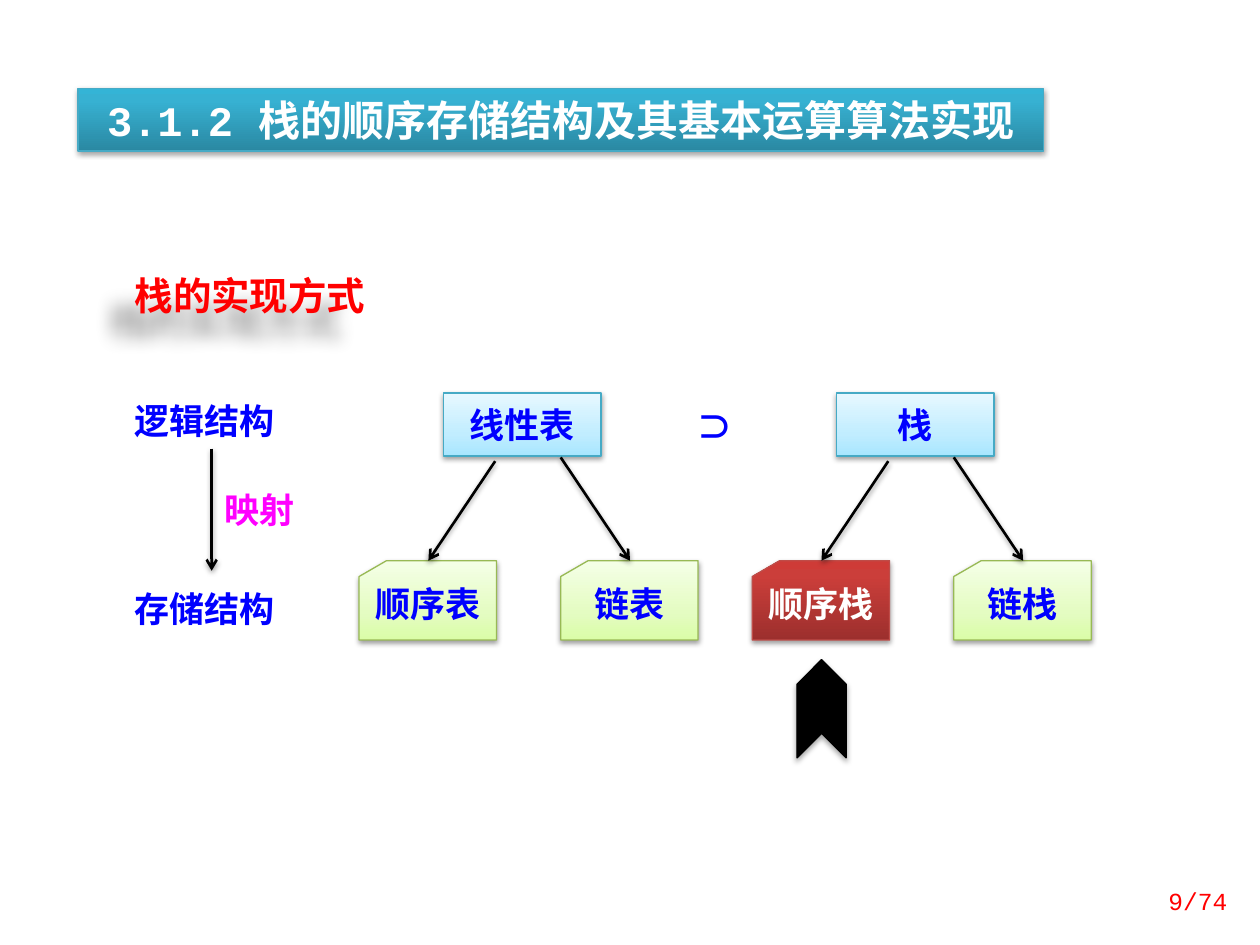
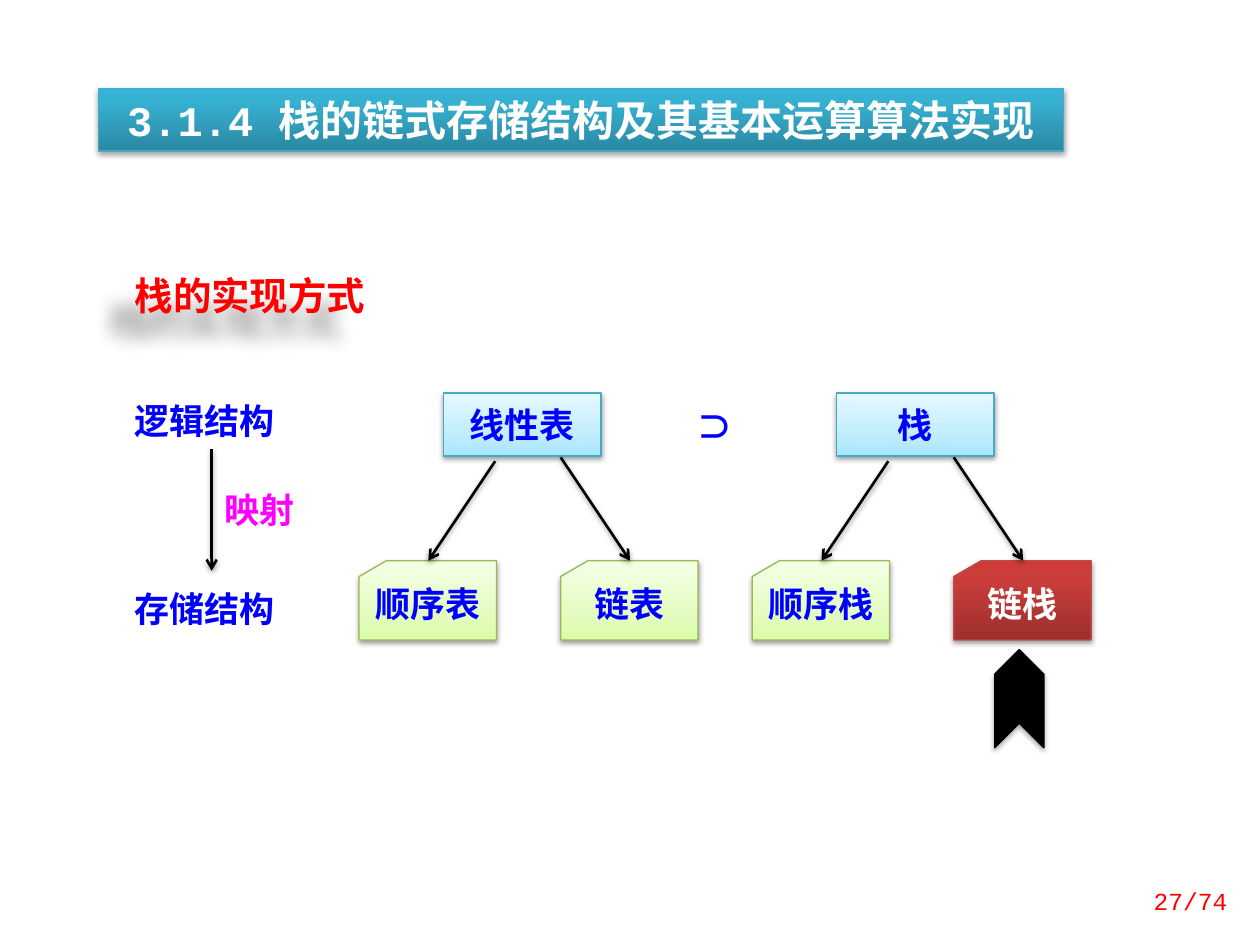
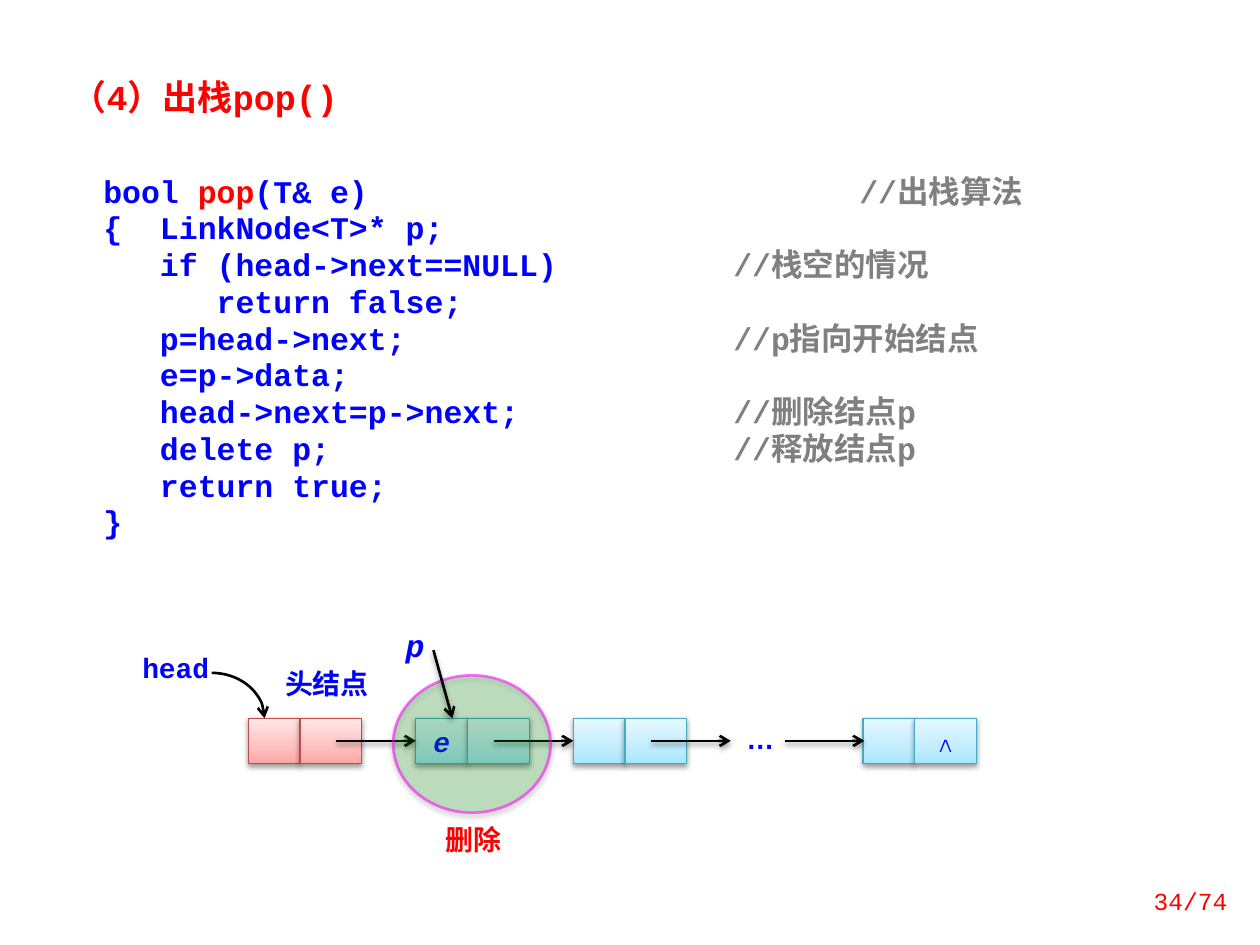
import pptx
import pptx.util
import pptx.dml.color
import pptx.enum.shapes
import pptx.enum.text
import pptx.oxml.ns
from lxml import etree

Inches = pptx.util.Inches
Pt = pptx.util.Pt
RGBColor = pptx.dml.color.RGBColor
Shapes = pptx.enum.shapes.MSO_SHAPE
Align = pptx.enum.text.PP_ALIGN
Anchor = pptx.enum.text.MSO_ANCHOR
qn = pptx.oxml.ns.qn

CJK = "Noto Sans CJK SC"
MONO = "Courier New"
BLACK = RGBColor(0x00, 0x00, 0x00)
WHITE = RGBColor(0xFF, 0xFF, 0xFF)
RED = RGBColor(0xFF, 0x00, 0x00)
BLUE = RGBColor(0x00, 0x00, 0xFF)
MAGENTA = RGBColor(0xFF, 0x00, 0xFF)
GREEN = RGBColor(0x00, 0x99, 0x00)
GREY = RGBColor(0x80, 0x80, 0x80)
AQUA_EDGE = RGBColor(0x46, 0xAA, 0xC5)
LIME_EDGE = RGBColor(0x98, 0xB9, 0x55)
BRICK_EDGE = RGBColor(0xBF, 0x4C, 0x48)

AQUA = ((0, "A7E6FF"), (35, "C1EDFF"), (100, "E7F8FF")), AQUA_EDGE
LIME = ((0, "DAFDA7"), (35, "E4FCC2"), (100, "F5FFE7")), LIME_EDGE
ROSE = ((0, "FFA6A5"), (35, "FFC0BF"), (100, "FFE7E7")), BRICK_EDGE
TEAL = ((0, "2A88A2"), (80, "37B1D2"), (100, "34B4D6")), AQUA_EDGE
BRICK = ((0, "9C2F2D"), (80, "CB3E3A"), (100, "CE3B37")), BRICK_EDGE

INSETS = (0.1, 0.05, 0.1, 0.05)
FLAT = (0, 0, 0, 0)
CODE_LINES = [
    ([("bool ", BLUE), ("pop", RED), ("(T& e)", BLUE)], "//出栈算法", 6),
    ([("{  LinkNode<T>* p;", BLUE)], "", 5),
    ([("   if (head->next==NULL)", BLUE)], "//栈空的情况", 5),
    ([("      return false;", BLUE)], "", 5),
    ([("   p=head->next;", BLUE)], "//p指向开始结点", 5),
    ([("   e=p->data;", BLUE)], "", 5),
    ([("   head->next=p->next;", BLUE)], "//删除结点p", 5),
    ([("   delete p;", BLUE)], "//释放结点p", 5),
    ([("   return true;", BLUE)], "", 5),
    ([("}", BLUE)], "", 5),
]


def add_shadow(shape, alpha=38, blur=3.1, distance=1.6, angle=90):
    """Give a shape or connector a soft outer shadow."""
    properties = shape._element.spPr
    effects = properties.find(qn("a:effectLst"))
    if effects is None:
        effects = etree.SubElement(properties, qn("a:effectLst"))
    shadow = etree.SubElement(
        effects, qn("a:outerShdw"), blurRad=str(Pt(blur)), dist=str(Pt(distance)),
        dir=str(angle * 60000), algn="ctr", rotWithShape="0")
    color = etree.SubElement(shadow, qn("a:srgbClr"), val="000000")
    etree.SubElement(color, qn("a:alpha"), val=str(alpha * 1000))


def add_arrowhead(shape):
    """Put an open arrowhead at the end of a line."""
    etree.SubElement(shape.line._get_or_add_ln(), qn("a:tailEnd"), type="arrow")


def paint_gradient(shape, stops):
    """Fill a shape with a gradient that rises from bottom to top."""
    shape.fill.gradient()
    shape.fill.gradient_angle = 90
    stop_list = shape._element.spPr.find(qn("a:gradFill")).find(qn("a:gsLst"))
    for stop in list(stop_list):
        stop_list.remove(stop)
    for position, color in stops:
        stop = etree.SubElement(stop_list, qn("a:gs"), pos=str(position * 1000))
        etree.SubElement(stop, qn("a:srgbClr"), val=color)


def add_run(paragraph, text, size, color, font=CJK, bold=True, italic=False):
    """Add one formatted run to a paragraph."""
    run = paragraph.add_run()
    run.text = text
    run.font.name = font
    run.font.size = Pt(size)
    run.font.bold = bold
    run.font.italic = italic
    run.font.color.rgb = color
    etree.SubElement(run._r.get_or_add_rPr(), qn("a:ea"), typeface=CJK)


def set_frame(shape, insets=INSETS, anchor=Anchor.TOP):
    """Set wrapping, insets and anchor, and return the text frame."""
    frame = shape.text_frame
    frame.word_wrap = True
    frame.vertical_anchor = anchor
    (frame.margin_left, frame.margin_top,
     frame.margin_right, frame.margin_bottom) = map(Inches, insets)
    return frame


def write(shape, text, size, color, align=Align.LEFT, insets=INSETS,
          anchor=Anchor.TOP, spacing=None, **style):
    """Write a single line of text into a shape."""
    paragraph = set_frame(shape, insets, anchor).paragraphs[0]
    paragraph.alignment = align
    if spacing:
        paragraph.line_spacing = Pt(spacing)
    add_run(paragraph, text, size, color, **style)


def add_text(slide, box, text, size, color, **options):
    """Add a text box with a single line."""
    shape = slide.shapes.add_textbox(*map(Inches, box))
    write(shape, text, size, color, **options)
    return shape


def add_box(slide, kind, box):
    """Add a plain preset shape without fill, line or shadow."""
    shape = slide.shapes.add_shape(kind, *map(Inches, box))
    shape.shadow.inherit = False
    shape.fill.background()
    shape.line.fill.background()
    return shape


def add_themed(slide, kind, box, theme):
    """Add a gradient shape with a thin edge and a shadow."""
    shape = add_box(slide, kind, box)
    stops, edge = theme
    paint_gradient(shape, stops)
    shape.line.color.rgb = edge
    shape.line.width = Pt(0.75)
    add_shadow(shape)
    return shape


def add_arrow(slide, start_x, start_y, end_x, end_y):
    """Add a black arrow between two points."""
    arrow = slide.shapes.add_connector(
        pptx.enum.shapes.MSO_CONNECTOR.STRAIGHT,
        *map(Inches, (start_x, start_y, end_x, end_y)))
    arrow.line.color.rgb = BLACK
    arrow.line.width = Pt(1.5)
    add_arrowhead(arrow)
    add_shadow(arrow)


def add_page_number(slide, number):
    """Add the page number at the bottom right."""
    add_text(slide, (8.86, 6.95, 0.98, 0.4), f"{number}/74", 14, RED,
             align=Align.RIGHT, anchor=Anchor.MIDDLE, font=MONO, bold=False)


def add_title_band(slide, left, text):
    """Add the section title on its teal band."""
    band = add_themed(slide, Shapes.RECTANGLE, (left, 0.7, 7.66, 0.5), TEAL)
    write(band, text, 24, WHITE, align=Align.CENTER, font=MONO)


def add_tree(slide, left, top, root, children, highlighted):
    """Add a structure with its two storage forms below."""
    root_box = add_themed(slide, Shapes.RECTANGLE, (left + 0.67, top, 1.25, 0.5), AQUA)
    write(root_box, root, 20, BLUE, align=Align.CENTER, insets=(0.1, 0.08, 0.1, 0.08))
    for index, child in enumerate(children):
        chosen = child == highlighted
        card = add_themed(slide, Shapes.FLOWCHART_CARD,
                          (left + 1.6 * index, top + 1.33, 1.09, 0.63),
                          BRICK if chosen else LIME)
        write(card, child, 20, WHITE if chosen else BLUE, align=Align.CENTER,
              insets=(0.1, 0.05, 0.1, 0.12), anchor=Anchor.MIDDLE)
    add_arrow(slide, left + 1.08, top + 0.54, left + 0.55, top + 1.33)
    add_arrow(slide, left + 1.6, top + 0.51, left + 2.15, top + 1.33)


def add_mapping(slide, left, top):
    """Add the column that maps logical to storage structure."""
    add_text(slide, (left, top, 1.41, 0.44), "逻辑结构", 20, BLUE)
    add_text(slide, (left, top + 1.49, 1.41, 0.44), "存储结构", 20, BLUE)
    add_arrow(slide, left + 0.71, top + 0.44, left + 0.71, top + 1.41)
    add_text(slide, (left + 0.71, top + 0.71, 0.86, 0.44), "映射", 20, MAGENTA)


def add_pointer(slide, left, top):
    """Add the black chevron that points up at the chosen card."""
    chevron = add_box(slide, Shapes.CHEVRON, (left, top, 0.78, 0.39))
    chevron.rotation = 270
    chevron.fill.solid()
    chevron.fill.fore_color.rgb = BLACK
    chevron.line.color.rgb = BLACK
    chevron.line.width = Pt(0.75)
    add_shadow(chevron, 35, 3.1, 1.8)


def build_structure_slide(slide, page, title, title_left, highlighted, pointer):
    """Build a slide that compares list and stack storage forms."""
    heading = add_text(slide, (0.97, 2.11, 2.19, 0.47), "栈的实现方式", 22, RED, font=MONO)
    add_shadow(heading, 40, 10, 20, 135)
    add_tree(slide, 2.85, 3.12, "线性表", ("顺序表", "链表"), highlighted)
    add_tree(slide, 5.97, 3.12, "栈", ("顺序栈", "链栈"), highlighted)
    add_mapping(slide, 0.97, 3.12)
    superset = add_text(slide, (5.48, 3.13, 0.47, 0.52), "∩", 20, BLUE, spacing=30)
    superset.rotation = 90
    add_title_band(slide, title_left, title)
    add_pointer(slide, *pointer)
    add_page_number(slide, page)


def add_code(slide, box):
    """Add the code listing with its comments on tab stops."""
    frame = set_frame(add_box(slide, Shapes.RECTANGLE, box), (0.2, 0.12, 0.1, 0.12))
    for index, (pieces, comment, stop) in enumerate(CODE_LINES):
        paragraph = frame.add_paragraph() if index else frame.paragraphs[0]
        if comment:
            tabs = etree.SubElement(paragraph._p.get_or_add_pPr(), qn("a:tabLst"))
            etree.SubElement(tabs, qn("a:tab"), pos=str(Inches(stop)), algn="l")
            pieces = pieces + [("\t" + comment, GREY)]
        paragraph.alignment = Align.LEFT
        paragraph.line_spacing = Pt(21)
        for text, color in pieces:
            add_run(paragraph, text, 18, color, font=MONO)


def add_node(slide, left, top, theme, data="", link=""):
    """Add a list node with a data cell and a link cell."""
    for offset, width, text, italic in ((0, 0.41, data, True), (0.41, 0.49, link, False)):
        cell = add_themed(slide, Shapes.RECTANGLE, (left + offset, top, width, 0.36), theme)
        if text:
            write(cell, text, 16, BLUE, align=Align.CENTER, insets=FLAT,
                  spacing=23, font=MONO, italic=italic)


def add_deletion_mark(slide, box):
    """Add the translucent circle around the node to delete."""
    circle = add_box(slide, Shapes.OVAL, box)
    circle.fill.solid()
    circle.fill.fore_color.rgb = GREEN
    circle.line.color.rgb = MAGENTA
    circle.line.width = Pt(1.5)
    colors = circle._element.spPr.iter(qn("a:srgbClr"))
    for color, alpha in zip(list(colors), (20, 54)):
        etree.SubElement(color, qn("a:alpha"), val=str(alpha * 1000))
    add_shadow(circle)


def add_linked_list(slide, left, top):
    """Add the linked list with its head, pointer and deleted node."""
    flat = {"align": Align.CENTER, "insets": FLAT}
    add_text(slide, (left + 4.7, top + 0.57, 0.49, 0.36), "…", 16, BLUE, font="Arial", **flat)
    add_text(slide, (left, top, 0.61, 0.37), "head", 16, BLUE, font=MONO, **flat)
    add_text(slide, (left + 1.09, top + 0.13, 0.83, 0.36), "头结点", 16, BLUE, font=MONO, **flat)
    curve = add_box(slide, Shapes.ARC, (left + 0.17, top + 0.18, 0.84, 0.72))
    curve.line.color.rgb = BLACK
    curve.line.width = Pt(1.5)
    add_arrowhead(curve)
    node_top = top + 0.54
    add_node(slide, left + 0.88, node_top, ROSE)
    add_node(slide, left + 2.21, node_top, AQUA, data="e")
    add_node(slide, left + 3.46, node_top, AQUA)
    add_node(slide, left + 5.76, node_top, AQUA, link="∧")
    for start in (1.58, 2.83, 4.08, 5.14):
        add_arrow(slide, left + start, top + 0.72, left + start + 0.63, top + 0.72)
    add_deletion_mark(slide, (left + 2.03, top + 0.2, 1.25, 1.09))
    add_text(slide, (left + 2.35, top + 1.32, 0.7, 0.37), "删除", 16, RED)
    add_arrow(slide, left + 2.35, top, left + 2.5, node_top)
    add_text(slide, (left + 2.03, top - 0.24, 0.31, 0.4), "p", 18, BLUE,
             font=MONO, italic=True)


def build_pop_slide(slide, page):
    """Build the slide about the pop operation."""
    add_text(slide, (0.47, 0.55, 2.66, 0.44), "（4）出栈pop()", 20, RED, font=MONO)
    add_code(slide, (0.62, 1.25, 8.67, 3.18))
    add_linked_list(slide, 1.09, 5.16)
    add_page_number(slide, page)


def main():
    """Build and save the presentation."""
    presentation = pptx.Presentation()
    presentation.slide_width = Inches(10)
    presentation.slide_height = Inches(7.5)
    blank = presentation.slide_layouts[6]
    build_structure_slide(presentation.slides.add_slide(blank), 9,
                          "3.1.2 栈的顺序存储结构及其基本运算算法实现", 0.62,
                          "顺序栈", (6.13, 5.43))
    build_structure_slide(presentation.slides.add_slide(blank), 27,
                          "3.1.4 栈的链式存储结构及其基本运算算法实现", 0.78,
                          "链栈", (7.7, 5.35))
    build_pop_slide(presentation.slides.add_slide(blank), 34)
    presentation.save("out.pptx")


if __name__ == "__main__":
    main()
